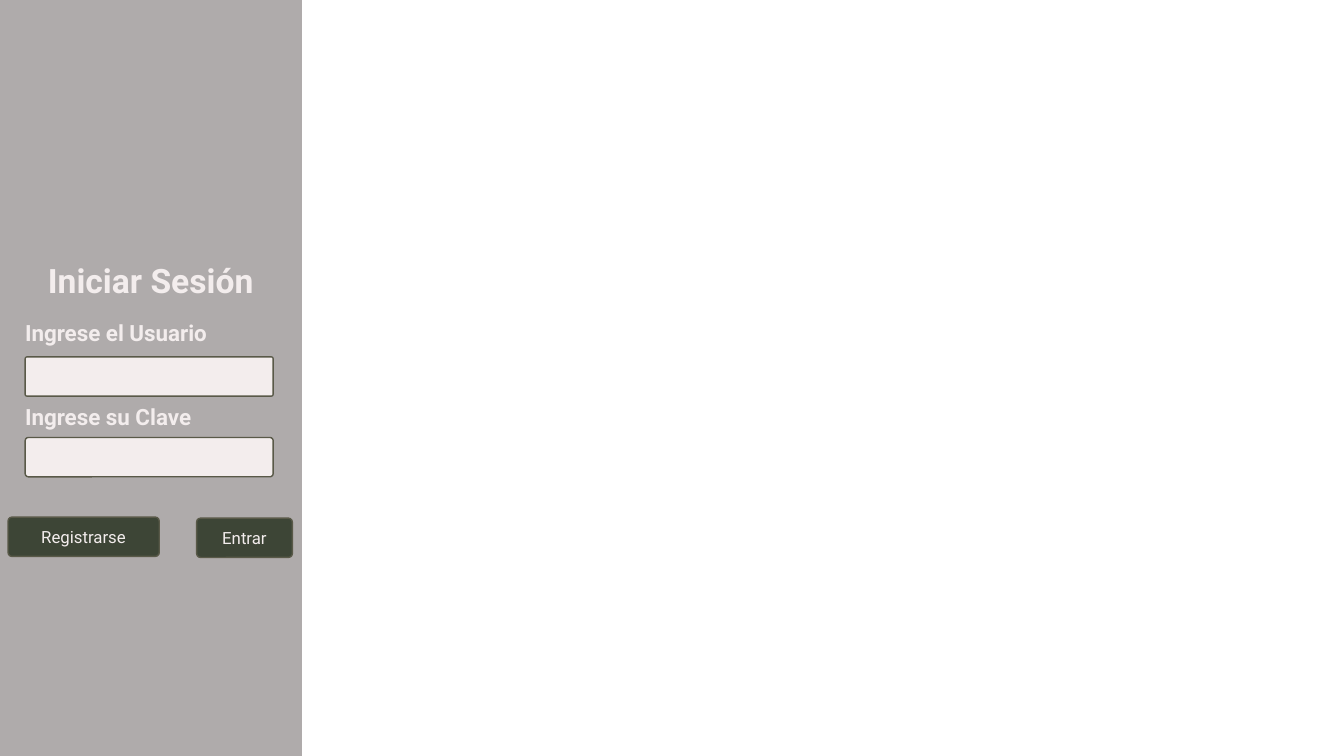
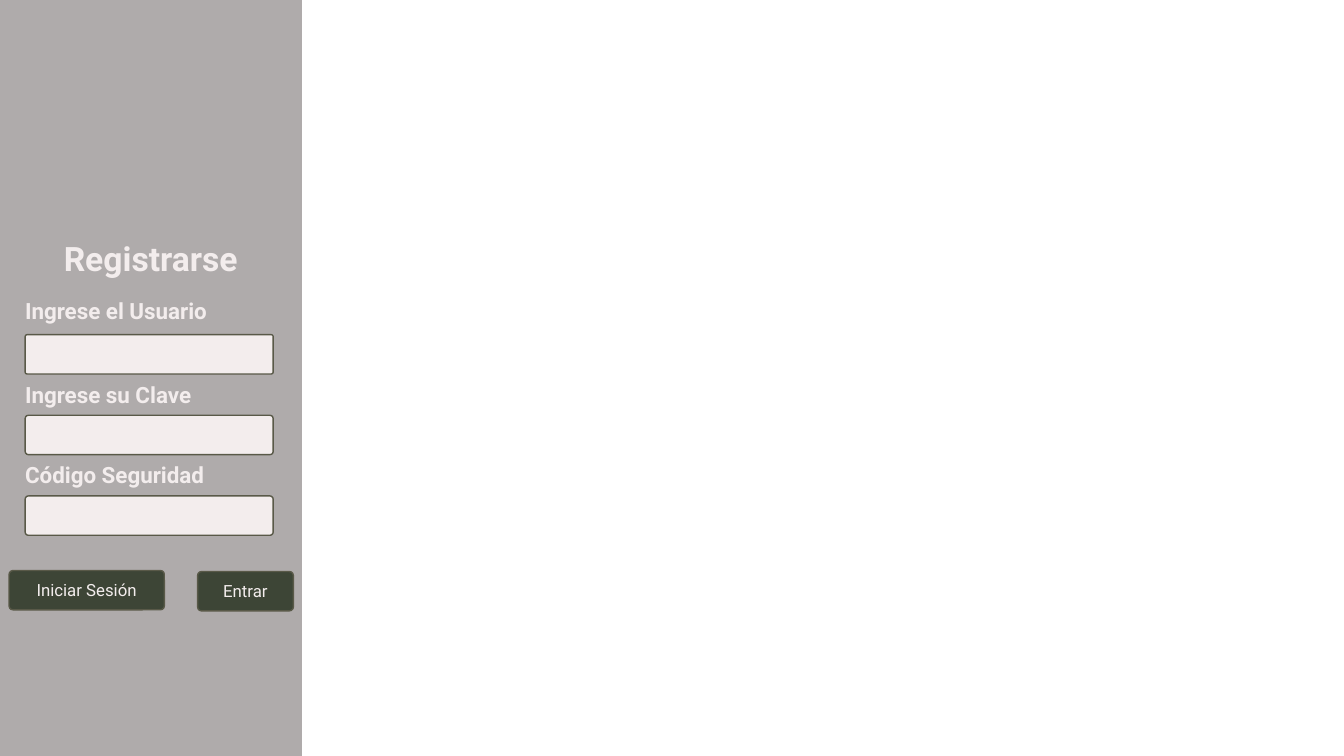
import pptx
import pptx.dml.color
import pptx.enum.shapes
import pptx.enum.text
import pptx.util

Inches = pptx.util.Inches
Shape = pptx.enum.shapes.MSO_SHAPE
Align = pptx.enum.text.PP_ALIGN
Anchor = pptx.enum.text.MSO_ANCHOR

PANEL_WIDTH = 2.99
ROW_STEP = 0.8
CONTROL_HEIGHT = 0.39


def color(hex_text):
    return pptx.dml.color.RGBColor.from_string(hex_text)


def write(box, text, size=12, bold=False, align=Align.LEFT, anchor=Anchor.TOP):
    frame = box.text_frame
    frame.word_wrap = True
    frame.auto_size = pptx.enum.text.MSO_AUTO_SIZE.NONE
    frame.vertical_anchor = anchor
    para = frame.paragraphs[0]
    para.alignment = align
    span = para.add_run()
    span.text = text
    span.font.name = FormDeck.font
    span.font.size = pptx.util.Pt(size)
    span.font.bold = bold
    span.font.color.rgb = color(FormDeck.light)


class FormDeck:
    """Style and current page of a deck of side-panel forms."""

    font = "Roboto"
    light = "F3EDED"
    gray = "AFABAB"
    dark = "3D4536"
    edge = "595948"

    def __init__(self):
        self.deck = pptx.Presentation()
        self.deck.slide_width = Inches(13.33)
        self.deck.slide_height = Inches(7.5)
        self.layout = self.deck.slide_layouts.get_by_name("Title Only")
        self.page = None

    def add_page(self):
        first = self.page is None
        self.page = self.deck.slides.add_slide(self.layout)
        if first:
            panel = self.block(Shape.RECTANGLE, 0, 0, PANEL_WIDTH, 7.5, self.gray, self.gray)
            self.layout.shapes.element.insert(2, panel.element)

    def block(self, kind, left, top, width, height, fill, line):
        box = self.page.shapes.add_shape(
            kind, Inches(left), Inches(top), Inches(width), Inches(height))
        box.shadow.inherit = False
        box.fill.solid()
        box.fill.fore_color.rgb = color(fill)
        box.line.color.rgb = color(line)
        box.line.width = pptx.util.Pt(1)
        return box

    def control(self, left, top, width, fill, rounding):
        box = self.block(Shape.ROUNDED_RECTANGLE, left, top, width,
                         CONTROL_HEIGHT, fill, self.edge)
        box.adjustments[0] = rounding
        return box

    def title(self, text, top):
        box = self.page.shapes.title
        box.left, box.top = Inches(0), Inches(top)
        box.width, box.height = Inches(PANEL_WIDTH), Inches(0.5)
        write(box, text, size=24, bold=True, align=Align.CENTER)

    def label(self, text, top):
        box = self.page.shapes.add_textbox(
            Inches(0.15), Inches(top), Inches(2.81), Inches(0.37))
        write(box, text, size=16, bold=True)

    def field(self, text, top, first):
        self.label(text, top - (0.42 if first else 0.39))
        self.control(0.25, top, 2.46, self.light, 0.05 if first else 0.08)

    def button(self, text, left, top, width):
        box = self.control(left, top, width, self.dark, 0.1)
        write(box, text, align=Align.CENTER, anchor=Anchor.MIDDLE)

    def form(self, title, top, fields, switch, switch_width, buttons_left, buttons_top):
        self.add_page()
        self.title(title, top)
        for row, text in enumerate(fields):
            self.field(text, top + 1.01 + row * ROW_STEP, row == 0)
        self.button(switch, buttons_left, buttons_top, switch_width)
        self.button("Entrar", buttons_left + 1.87, buttons_top + 0.01, 0.95)


def main():
    login, register = "Iniciar Sesión", "Registrarse"
    fields = ["Ingrese el Usuario", "Ingrese su Clave"]
    forms = FormDeck()
    forms.form(login, 2.53, fields, register, 1.5, 0.08, 5.13)
    forms.form(register, 2.31, fields + ["Código Seguridad"], login, 1.54, 0.09, 5.66)
    forms.deck.save("out.pptx")


if __name__ == "__main__":
    main()
